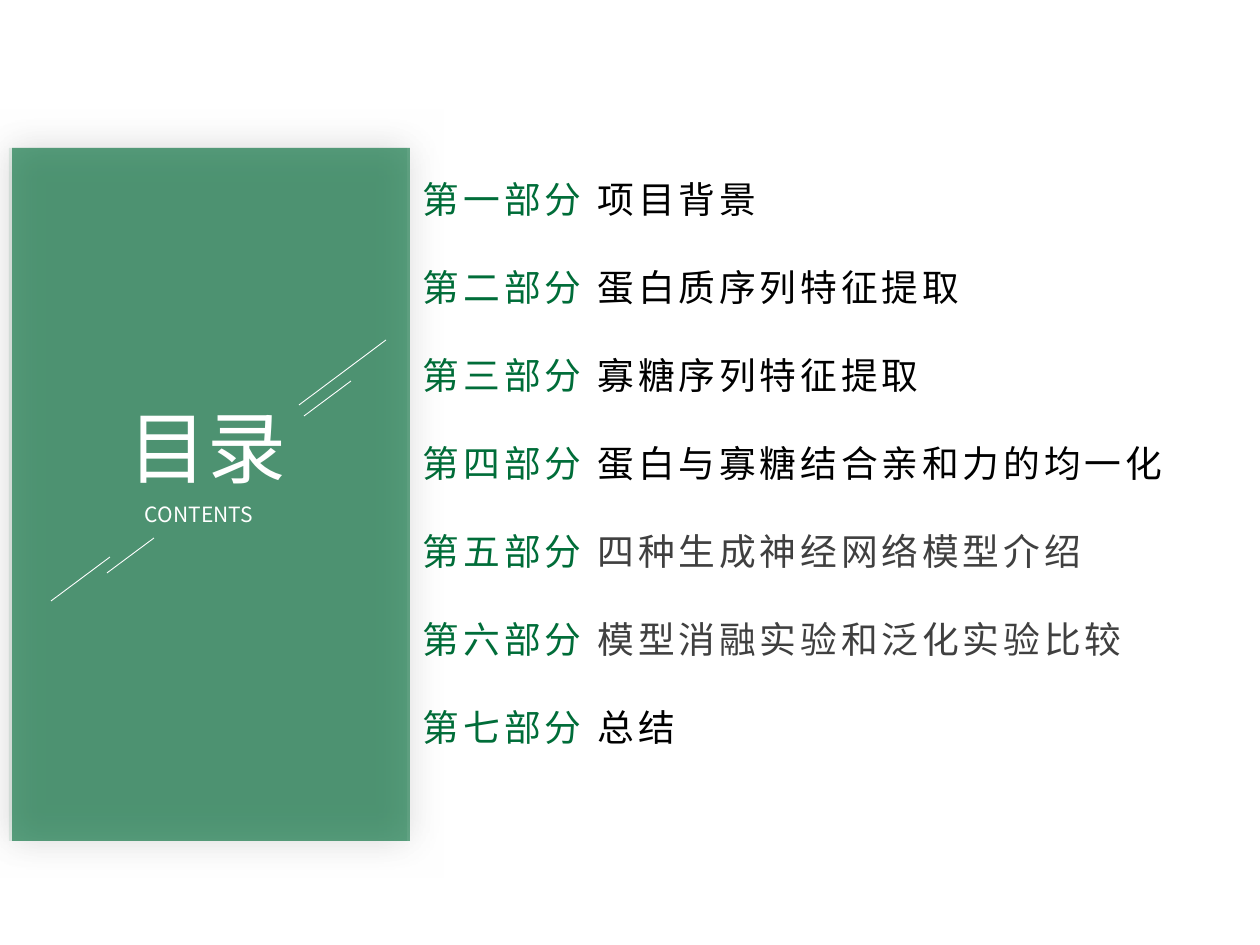
from lxml.etree import SubElement
from pptx import Presentation
from pptx.dml.color import RGBColor
from pptx.enum.shapes import MSO_CONNECTOR, MSO_SHAPE
from pptx.enum.text import MSO_ANCHOR, PP_ALIGN
from pptx.oxml.ns import qn
from pptx.util import Emu, Pt

GREEN = RGBColor(0x00, 0x6D, 0x39)
BLACK = RGBColor(0x00, 0x00, 0x00)
GREY = RGBColor(0x40, 0x40, 0x40)
WHITE = RGBColor(0xFF, 0xFF, 0xFF)
FONT = "Noto Sans CJK SC"
SCALE = 914400 / 126
SLIDE_W, SLIDE_H = 1260, 945

PARTS = [
    ("第一部分", "项目背景", BLACK),
    ("第二部分", "蛋白质序列特征提取", BLACK),
    ("第三部分", "寡糖序列特征提取", BLACK),
    ("第四部分", "蛋白与寡糖结合亲和力的均一化", BLACK),
    ("第五部分", "四种生成神经网络模型介绍", GREY),
    ("第六部分", "模型消融实验和泛化实验比较", GREY),
    ("第七部分", "总结", BLACK),
]
STROKES = [
    (287, 257, 374, 192),
    (39, 453, 98, 409),
    (95, 425, 142, 390),
    (292, 268, 339, 233),
]


def px(n):
    return Emu(round(n * SCALE))


def add_run(p, text, size=21, color=BLACK, spacing=0):
    r = p.add_run()
    r.text = text
    r.font.size = Pt(size)
    r.font.name = FONT
    r.font.color.rgb = color
    rpr = r.font._element
    SubElement(rpr, qn("a:ea"), typeface=FONT)
    if spacing:
        rpr.set("spc", str(round(spacing * 100)))


def add_text_frame(s, x, y, w, h, anchor=MSO_ANCHOR.TOP):
    tf = s.shapes.add_textbox(px(x), px(y), px(w), px(h)).text_frame
    tf.word_wrap = True
    tf.margin_left = tf.margin_right = px(12)
    tf.margin_top = tf.margin_bottom = px(6)
    tf.vertical_anchor = anchor
    return tf


def add_label(s, text, x, y, w, h, **fmt):
    p = add_text_frame(s, x, y, w, h, MSO_ANCHOR.MIDDLE).paragraphs[0]
    p.alignment = PP_ALIGN.JUSTIFY
    add_run(p, text, **fmt)


def add_card(s, x, y, w, h, opacity):
    sp = s.shapes.add_shape(MSO_SHAPE.ROUNDED_RECTANGLE, px(x), px(y), px(w), px(h))
    sp.adjustments[0] = 0
    sp.line.fill.background()
    sp.fill.solid()
    sp.fill.fore_color.rgb = GREEN
    fill = sp._element.spPr.find(qn("a:solidFill"))
    SubElement(fill[0], qn("a:alpha"), val=str(opacity * 1000))
    sp.shadow.inherit = False
    effects = sp._element.spPr.find(qn("a:effectLst"))
    shadow = SubElement(effects, qn("a:outerShdw"), blurRad=str(Pt(22)),
                        dist="0", dir="0", algn="ctr", rotWithShape="0")
    color = SubElement(shadow, qn("a:srgbClr"), val=str(BLACK))
    SubElement(color, qn("a:alpha"), val="10000")


def add_stroke(s, x1, y1, x2, y2):
    line = s.shapes.add_connector(MSO_CONNECTOR.STRAIGHT, px(x1), px(y1), px(x2), px(y2))
    line.line.color.rgb = WHITE
    line.line.width = Pt(0.5)
    SubElement(line._element.spPr, qn("a:effectLst"))


def add_title_panel(s, x, y, w, h):
    add_card(s, x - 3, y, w, h, 10)
    add_card(s, x, y, w, h, 60)
    add_label(s, "目录", x + 105, y + 244, 190, 108, size=45, color=WHITE)
    add_label(s, "CONTENTS", x + 121, y + 347, 159, 38, size=12, color=WHITE)
    for x1, y1, x2, y2 in STROKES:
        add_stroke(s, x + x1, y + y1, x + x2, y + y2)


def add_contents(s, x, y, w, h):
    tf = add_text_frame(s, x, y, w, h)
    for i, (part, title, color) in enumerate(PARTS):
        p = tf.add_paragraph() if i else tf.paragraphs[0]
        if i:
            p.space_before = Pt(25.1)
        add_run(p, part + " ", color=GREEN, spacing=2.2)
        add_run(p, title, color=color, spacing=2.2)


def main():
    prs = Presentation()
    prs.slide_width, prs.slide_height = px(SLIDE_W), px(SLIDE_H)
    s = prs.slides.add_slide(prs.slide_layouts[6])
    add_contents(s, 411, 171, 864, 580)
    add_title_panel(s, 12, 148, 398, 693)
    prs.save("out.pptx")


if __name__ == "__main__":
    main()
